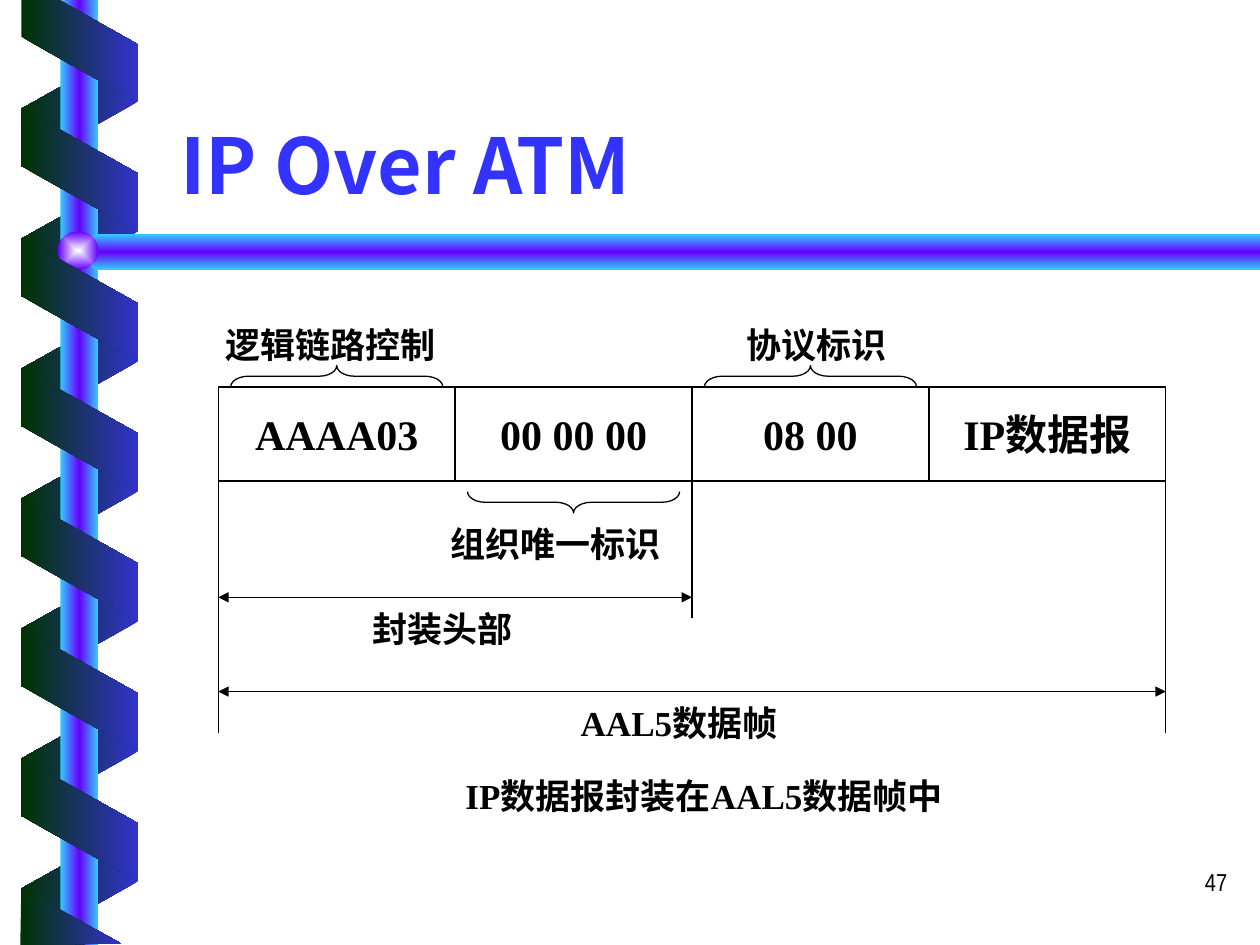
from dataclasses import dataclass
from typing import Any

from lxml.etree import SubElement
from pptx import Presentation
from pptx.dml.color import RGBColor
from pptx.enum.shapes import MSO_CONNECTOR, MSO_SHAPE
from pptx.enum.text import MSO_ANCHOR, MSO_AUTO_SIZE, PP_ALIGN
from pptx.oxml.ns import qn
from pptx.util import Cm, Pt


def rgb(value):
    """Turn a hex string into a colour."""
    return RGBColor.from_string(value)


@dataclass
class Painter:
    """Holds the style and the current slide."""

    slide: Any
    ink: str = "000000"
    serif: str = "Times New Roman"
    line_width: float = 0.75

    def letter(self, frame, text, size, font, color=None, bold=True, align=PP_ALIGN.CENTER):
        """Fill a text frame with one styled paragraph."""
        frame.text = text
        paragraph = frame.paragraphs[0]
        paragraph.alignment = align
        paragraph.font.size = Pt(size)
        paragraph.font.name = font
        paragraph.font.bold = bold
        paragraph.font.color.rgb = rgb(color or self.ink)

    def title(self, text, left, top, width, height):
        """Place and format the title placeholder."""
        holder = self.slide.shapes.title
        holder.left, holder.top, holder.width, holder.height = map(Cm, (left, top, width, height))
        frame = holder.text_frame
        frame.auto_size = MSO_AUTO_SIZE.NONE
        frame.vertical_anchor = MSO_ANCHOR.BOTTOM
        self.letter(frame, text, 44, "Noto Sans CJK SC", "3333FF", align=PP_ALIGN.LEFT)

    def shape(self, preset, left, top, width, height):
        """Add an unfilled preset shape with a thin outline."""
        shape = self.slide.shapes.add_shape(preset, *map(Cm, (left, top, width, height)))
        shape.shadow.inherit = False
        shape.fill.background()
        shape.line.color.rgb = rgb(self.ink)
        shape.line.width = Pt(self.line_width)
        return shape

    def gradient(self, shape, colors, angle=0, centred=False):
        """Give a shape evenly spaced gradient colours and no outline."""
        shape.shadow.inherit = False
        shape.line.fill.background()
        shape.fill.gradient()
        fill = shape._element.spPr.find(qn("a:gradFill"))
        fill.set("rotWithShape", "0")
        for child in list(fill):
            fill.remove(child)
        stops = SubElement(fill, qn("a:gsLst"))
        for index, color in enumerate(colors):
            position = str(index * 100000 // (len(colors) - 1))
            stop = SubElement(stops, qn("a:gs"), pos=position)
            SubElement(stop, qn("a:srgbClr"), val=color)
        if centred:
            route = SubElement(fill, qn("a:path"), {"path": "rect"})
            SubElement(route, qn("a:fillToRect"), dict.fromkeys("ltrb", "50000"))
        else:
            SubElement(fill, qn("a:lin"), ang=str(angle * 60000), scaled="0")

    def ribbon(self, top, rotation, colors, flipped=False):
        """Add one slanted turn of the spiral."""
        turn = self.shape(MSO_SHAPE.PARALLELOGRAM, 0.36, top, 2.49, 2.36)
        turn.adjustments[0] = 0.56
        turn.rotation = rotation
        if flipped:
            turn._element.spPr.find(qn("a:xfrm")).set("flipH", "1")
        self.gradient(turn, colors)

    def outline(self, points, colors, angle=0):
        """Add a closed polygon with a gradient."""
        start, *rest = [(Cm(x), Cm(y)) for x, y in points]
        builder = self.slide.shapes.build_freeform(*start)
        builder.add_line_segments(rest, close=True)
        self.gradient(builder.convert_to_shape(), colors, angle)

    def cell(self, text, left, top, width, height):
        """Add one field of the frame."""
        field = self.shape(MSO_SHAPE.RECTANGLE, left, top, width, height)
        frame = field.text_frame
        frame.word_wrap = False
        frame.vertical_anchor = MSO_ANCHOR.MIDDLE
        self.letter(frame, text, 24, self.serif)

    def brace(self, left, top, span, rotation):
        """Add a horizontal brace, tip up at 90 and down at 270 degrees."""
        depth = 0.43
        brace = self.shape(MSO_SHAPE.LEFT_BRACE, left + (span - depth) / 2,
                           top + (depth - span) / 2, depth, span)
        brace.adjustments[0] = 0.83
        brace.rotation = rotation

    def label(self, text, left, top, width=5.54):
        """Add a centred caption without insets."""
        frame = self.slide.shapes.add_textbox(*map(Cm, (left, top, width, 0.84))).text_frame
        frame.word_wrap = True
        frame.vertical_anchor = MSO_ANCHOR.MIDDLE
        frame.margin_left = frame.margin_right = frame.margin_top = frame.margin_bottom = 0
        self.letter(frame, text, 20, self.serif)

    def number(self, text, left, top, width, height):
        """Add the page number."""
        frame = self.slide.shapes.add_textbox(*map(Cm, (left, top, width, height))).text_frame
        frame.word_wrap = True
        self.letter(frame, text, 14, "Arial Narrow", bold=False, align=PP_ALIGN.RIGHT)

    def rule(self, x1, y1, x2, y2, arrows=False):
        """Add a straight line, optionally with arrowheads at both ends."""
        rule = self.slide.shapes.add_connector(MSO_CONNECTOR.STRAIGHT, *map(Cm, (x1, y1, x2, y2)))
        rule.line.color.rgb = rgb(self.ink)
        rule.line.width = Pt(self.line_width)
        properties = rule._element.spPr
        if arrows:
            for end in ("a:headEnd", "a:tailEnd"):
                SubElement(properties.find(qn("a:ln")), qn(end), type="triangle")
        SubElement(properties, qn("a:effectLst"))


def draw_backdrop(painter):
    """Draw the spiral, its pole and the title bar."""
    front = ("003300", "3333CC")
    glow = ("33CCFF", "6600FF", "33CCFF")
    pitch = 2.62
    for turn in range(7):
        painter.ribbon(0.94 + turn * pitch, 90, front[::-1], flipped=True)
    pole = painter.shape(MSO_SHAPE.RECTANGLE, 1.22, 0, 0.76, 19.05)
    painter.gradient(pole, glow)
    painter.outline([(25.4, 4.72), (1.93, 4.72), (1.52, 5.08), (1.93, 5.44), (25.4, 5.44)],
                    glow, angle=90)
    ball = painter.shape(MSO_SHAPE.OVAL, 1.17, 4.67, 0.81, 0.76)
    painter.gradient(ball, ("FEFFFF", "6600FF"), centred=True)
    for turn in range(6):
        painter.ribbon(2.24 + turn * pitch, 270, front)
    painter.outline([(0.43, 0), (0.43, 0.74), (2.77, 2.06), (2.77, 0.89), (1.19, 0)], front)
    painter.outline([(2.44, 19.02), (0.43, 17.91), (0.41, 19.05)], front)


def draw_frame(painter):
    """Draw the encapsulated frame with its braces and dimensions."""
    left, right, top, height = 4.4, 23.5, 7.8, 1.9
    fields = ("AAAA03", "00 00 00", "08 00", "IP数据报")
    width = (right - left) / len(fields)
    edges = [left + index * width for index in range(len(fields) + 1)]
    bottom = top + height
    for text, edge in zip(fields, edges):
        painter.cell(text, edge, top, width, height)

    inset = 0.25
    for field, brace_top, rotation in ((0, 7.37, 90), (1, 9.91, 270), (2, 7.37, 90)):
        painter.brace(edges[field] + inset, brace_top, width - 2 * inset, rotation)

    for edge, end in ((left, 14.78), (edges[2], 12.45), (right, 14.78)):
        painter.rule(edge, bottom, edge, end)
    for end, y in ((edges[2], 12.04), (right, 13.94)):
        painter.rule(left, y, end, y, arrows=True)

    painter.label("逻辑链路控制", 3.89, 6.53)
    painter.label("协议标识", 14.2, 6.53, 4.52)
    painter.label("组织唯一标识", 8.43, 10.54)
    painter.label("封装头部", 6.15, 12.24)
    painter.label("AAL5数据帧", 10.92, 14.15)
    painter.label("IP数据报封装在AAL5数据帧中", 7.16, 15.62, 14.07)


def main():
    """Build and save the slide."""
    deck = Presentation()
    deck.slide_width, deck.slide_height = Cm(25.4), Cm(19.05)
    painter = Painter(deck.slides.add_slide(deck.slide_layouts[5]))
    draw_backdrop(painter)
    painter.title("IP Over ATM", 3.38, 1.17, 21.59, 3.18)
    draw_frame(painter)
    painter.number("47", 19.71, 17.35, 5.28, 1.27)
    deck.save("out.pptx")


if __name__ == "__main__":
    main()
